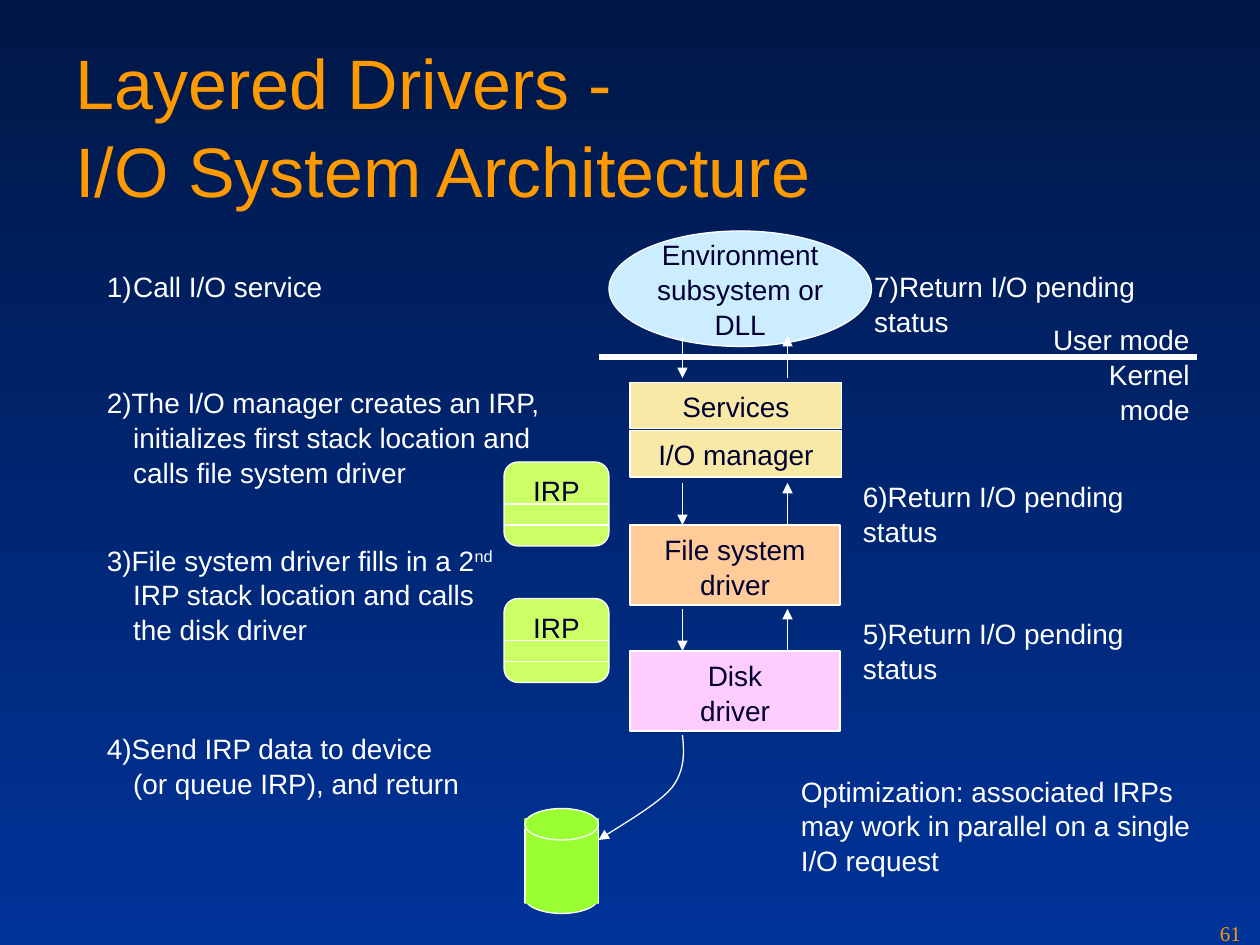
from dataclasses import dataclass

from lxml.etree import SubElement
from pptx import Presentation
from pptx.dml.color import RGBColor
from pptx.enum.shapes import MSO_CONNECTOR as Link, MSO_SHAPE as Form
from pptx.enum.text import MSO_ANCHOR as Anchor, PP_ALIGN as Align
from pptx.oxml.ns import qn
from pptx.util import Pt


@dataclass(frozen=True)
class Theme:
    font: str = "Arial"
    serif: str = "Times New Roman"
    head: int = 40
    body: int = 16
    small: int = 12
    top: str = "001746"
    base: str = "003399"
    gold: str = "FE9900"
    white: str = "FFFFFF"
    ink: str = "000033"
    sky: str = "CCECFF"
    sand: str = "F9E9A7"
    peach: str = "FFCC99"
    pink: str = "FFCCFF"
    lime: str = "CCFF66"
    green: str = "99FF33"
    thin: float = 0.75
    thick: float = 3
    lead: float = 1.04


def rgb(code):
    return RGBColor.from_string(code)


def tall(rows):
    """Height of a box that holds this many body lines."""
    return 7.4 + 19.2 * rows


class Board:
    def __init__(self, deck, theme):
        self.theme = theme
        self.slide = deck.slides.add_slide(deck.slide_layouts[5])
        self.shapes = self.slide.shapes
        fill = self.slide.background.fill
        fill.gradient()
        fill.gradient_angle = 270
        for stop, code in zip(fill.gradient_stops, (theme.top, theme.base)):
            stop.color.rgb = rgb(code)

    def run(self, par, text, raised=False):
        for i, line in enumerate(text.split("\n")):
            if i:
                par.add_line_break()
            run = par.add_run()
            run.text = line
            if raised:
                run.font._element.set("baseline", "30000")

    def style(self, par, color, size=None, font=None, align=Align.LEFT):
        par.alignment = align
        par.line_spacing = self.theme.lead
        par.font.size = Pt(size or self.theme.body)
        par.font.name = font or self.theme.font
        par.font.color.rgb = rgb(color)

    def title(self, text, x, y, w, h):
        box = self.shapes.title
        box.left, box.top, box.width, box.height = map(Pt, (x, y, w, h))
        box.text_frame.vertical_anchor = Anchor.TOP
        par = box.text_frame.paragraphs[0]
        self.run(par, text)
        self.style(par, self.theme.gold, self.theme.head)

    def text(self, pars, x, y, w, h, wrap=False, hang=False, auto=False,
             color=None, **look):
        """Each paragraph is a list of runs; every second run is raised."""
        frame = self.shapes.add_textbox(*map(Pt, (x, y, w, h))).text_frame
        frame.word_wrap = wrap
        for i, runs in enumerate(pars):
            par = frame.add_paragraph() if i else frame.paragraphs[0]
            if hang:
                prop = par._p.get_or_add_pPr()
                prop.set("marL", str(Pt(15)))
                prop.set("indent", str(Pt(-15)))
                if auto:
                    SubElement(prop, qn("a:buFont")).set("typeface", self.theme.font)
                    SubElement(prop, qn("a:buAutoNum")).set("type", "arabicParenR")
            for j, part in enumerate(runs):
                self.run(par, part, j % 2 == 1)
            self.style(par, color or self.theme.white, **look)

    def shape(self, form, x, y, w, h, fill, text="", edge=None,
              anchor=Anchor.TOP, wrap=True):
        item = self.shapes.add_shape(form, *map(Pt, (x, y, w, h)))
        item.shadow.inherit = False
        item.fill.solid()
        item.fill.fore_color.rgb = rgb(fill)
        self.stroke(item, edge=edge)
        if text:
            frame = item.text_frame
            frame.word_wrap = wrap
            frame.vertical_anchor = anchor
            self.run(frame.paragraphs[0], text)
            self.style(frame.paragraphs[0], self.theme.ink, align=Align.CENTER)
        return item

    def stroke(self, item, wide=None, edge=None, head=False):
        item.line.color.rgb = rgb(edge or self.theme.white)
        item.line.width = Pt(wide or self.theme.thin)
        if head:
            SubElement(item.line._get_or_add_ln(), qn("a:tailEnd")).set("type", "triangle")

    def line(self, x1, y1, x2, y2, wide=None, head=False):
        item = self.shapes.add_connector(Link.STRAIGHT, *map(Pt, (x1, y1, x2, y2)))
        self.stroke(item, wide, head=head)
        SubElement(item._element.spPr, qn("a:effectLst"))
        return item

    def curve(self, start, bends, steps=12):
        """Open path through cubic bends, ending in an arrowhead."""
        dots, at = [], start
        for bend in bends:
            knots = (at, *bend)
            for i in range(1, steps + 1):
                t = i / steps
                rates = ((1 - t) ** 3, 3 * t * (1 - t) ** 2, 3 * t * t * (1 - t), t ** 3)
                dots.append(tuple(Pt(sum(r * k[a] for r, k in zip(rates, knots)))
                                  for a in (0, 1)))
            at = bend[-1]
        path = self.shapes.build_freeform(*map(Pt, start))
        path.add_line_segments(dots, close=False)
        item = path.convert_to_shape()
        item.shadow.inherit = False
        item.fill.background()
        self.stroke(item, head=True)

    def packet(self, x, y, w=60, h=48):
        box = self.shape(Form.ROUNDED_RECTANGLE, x, y, w, h, self.theme.lime,
                         "IRP", wrap=False)
        mid = self.line(x, y + h / 2, x + w, y + h / 2)
        mid.begin_connect(box, 1)
        mid.end_connect(box, 3)
        self.line(x, y + h * 3 / 4, x + w, y + h * 3 / 4)

    def drum(self, x, y, w=42, h=60, cap=18):
        green = self.theme.green
        self.shape(Form.OVAL, x, y + h - cap, w, cap, green)
        self.shape(Form.RECTANGLE, x, y + 6, w, 48, green, edge=green)
        self.shape(Form.OVAL, x, y, w, cap, green)
        for side in (x, x + w):
            self.line(side, y + 54, side, y + 12)


def main():
    deck = Presentation()
    deck.slide_width, deck.slide_height = Pt(720), Pt(540)
    look = Theme()
    board = Board(deck, look)
    board.title("Layered Drivers - \nI/O System Architecture", 36, 17.28, 648, 90)

    # Driver stack
    board.shape(Form.OVAL, 348, 132, 150, 66, look.sky,
                "Environment\nsubsystem or\nDLL", anchor=Anchor.MIDDLE, wrap=False)
    for text, y, w, rows, fill in (
            ("Services", 218.5, 121, 1, look.sand),
            ("I/O manager", 246, 121, 1, look.sand),
            ("File system\ndriver", 300, 120, 2, look.peach),
            ("Disk\ndriver", 372, 120, 2, look.pink)):
        board.shape(Form.RECTANGLE, 360, y, w, tall(rows), fill, text)

    # Calls down, returns up
    for y in (192, 276, 348):
        board.line(390, y, 390, y + 24, head=True)
        board.line(450, y + 24, 450, y, head=True)

    # Mode border
    board.line(342, 204, 684, 204, look.thick)
    board.text([["User mode"], ["Kernel mode"]], 582.5, 180, 104.4, tall(2),
               align=Align.RIGHT)

    # Request packets and disk
    for y in (264, 342):
        board.packet(288, y)
    board.drum(300, 462)
    board.curve((390, 420), (((391, 430), (391.5, 440), (384, 450)),
                             ((376, 460), (349, 475), (342, 480))))

    # Steps on the left
    board.text([["Call I/O service"]], 54, 150, 137.5, tall(1), hang=True, auto=True)
    for runs, y, w, rows in (
            (["2)The I/O manager creates an IRP, initializes first stack "
              "location and calls file system driver"], 216, 270, 3),
            (["3)File system driver fills in a 2", "nd",
              " IRP stack location and calls\nthe disk driver"], 306, 240, 3),
            (["4)Send IRP data to device\n(or queue IRP), and return"], 414, 240, 2)):
        board.text([runs], 54, y, w, tall(rows), wrap=True, hang=True)

    # Steps on the right
    for step, x, y in ((6, 486, 270), (5, 486, 348), (7, 492.5, 150)):
        board.text([[f"{step})Return I/O pending status"]], x, y, 210, tall(1))
    board.text([["Optimization: associated IRPs\nmay work in parallel on a single\n"
                 "I/O request"]], 450.5, 438, 237, tall(3))

    # Page number
    board.text([["61"]], 690, 522, 30, 18, color=look.gold, size=look.small,
               font=look.serif)
    deck.save("out.pptx")


if __name__ == "__main__":
    main()
